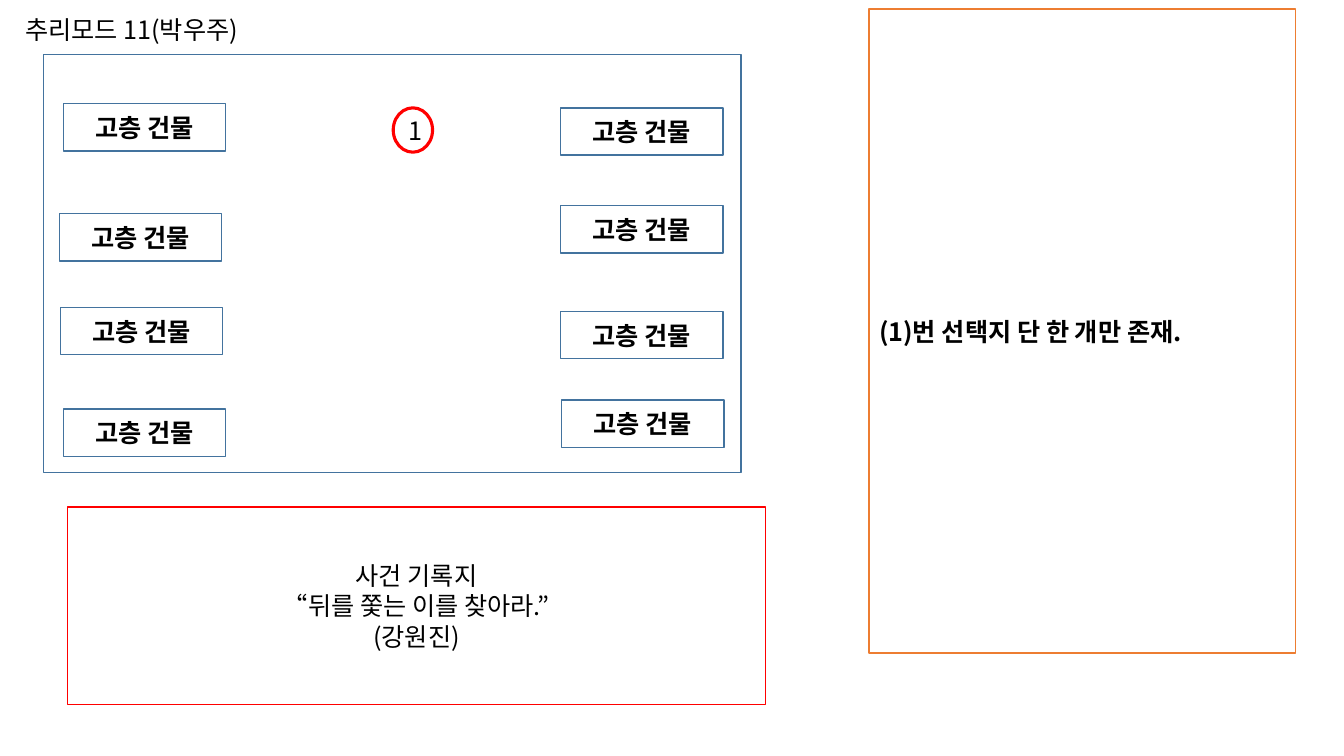
from lxml import etree
from pptx import Presentation
from pptx.dml.color import RGBColor
from pptx.enum.shapes import MSO_SHAPE
from pptx.enum.text import MSO_ANCHOR, MSO_AUTO_SIZE, PP_ALIGN
from pptx.oxml.ns import qn
from pptx.util import Inches, Pt

RECT, OVAL = MSO_SHAPE.RECTANGLE, MSO_SHAPE.OVAL
LEFT, MID = PP_ALIGN.LEFT, PP_ALIGN.CENTER
FONT, SIZE = "Noto Sans CJK KR", 18
COLORS = {"paper": "FFFFFF", "ink": "000000", "blue": "43739E",
          "orange": "ED7D31", "red": "FF0000"}

# Content
TITLE = ["추리모드 11(박우주)"]
CHOICE = ["(1)번 선택지 단 한 개만 존재."]
RECORD = ["사건 기록지", "“뒤를 쫓는 이를 찾아라.”", "(강원진)"]
MARK = ["1"]
TOWER = ["고층 건물"]

# Layout in inches: left, top, width, height
TITLE_BOX = (0.15, 0.09, 3.23, 0.4)
MAP_BOX = (0.43, 0.54, 6.92, 4.15)
CHOICE_BOX = (8.62, 0.09, 4.23, 6.39)
RECORD_BOX = (0.67, 5.03, 6.92, 1.96)
MARK_BOX = (3.9, 1.07, 0.39, 0.44)
TOWER_SIZE = (1.61, 0.47)
# Each side of the street is placed by hand: (left, top) from top to bottom
STREET = [
    [(0.63, 1.03), (0.59, 2.12), (0.6, 3.05), (0.63, 4.06)],
    [(5.56, 1.07), (5.56, 2.04), (5.56, 3.09), (5.57, 3.97)],
]


def color(name):
    return RGBColor.from_string(COLORS[name])


def write(frame, lines, align, bold):
    frame.word_wrap = True
    frame.text = "\n".join(lines)
    for para in frame.paragraphs:
        para.alignment = align
        for run in para.runs:
            font = run.font
            font.name, font.size, font.bold = FONT, Pt(SIZE), bold
            font.color.rgb = color("ink")
            # Hangul takes the East Asian typeface
            east = etree.SubElement(run._r.get_or_add_rPr(), qn("a:ea"))
            east.set("typeface", FONT)


def panel(slide, box, line, lines=(), kind=RECT, width=1, align=MID, bold=False):
    shape = slide.shapes.add_shape(kind, *map(Inches, box))
    shape.shadow.inherit = False
    shape.fill.solid()
    shape.fill.fore_color.rgb = color("paper")
    shape.line.color.rgb = color(line)
    shape.line.width = Pt(width)
    if lines:
        shape.text_frame.vertical_anchor = MSO_ANCHOR.MIDDLE
        write(shape.text_frame, lines, align, bold)


def main():
    deck = Presentation()
    deck.slide_width, deck.slide_height = Inches(13.33), Inches(7.5)
    slide = deck.slides.add_slide(deck.slide_layouts[6])

    # Map frame and text panels
    panel(slide, MAP_BOX, "blue")
    panel(slide, CHOICE_BOX, "orange", CHOICE, align=LEFT, bold=True)
    panel(slide, RECORD_BOX, "red", RECORD)

    # Title
    title = slide.shapes.add_textbox(*map(Inches, TITLE_BOX)).text_frame
    write(title, TITLE, LEFT, False)
    title.auto_size = MSO_AUTO_SIZE.SHAPE_TO_FIT_TEXT

    # Numbered mark and the towers along the street
    panel(slide, MARK_BOX, "red", MARK, kind=OVAL, width=2.25)
    for side in STREET:
        for spot in side:
            panel(slide, spot + TOWER_SIZE, "blue", TOWER, bold=True)

    deck.save("out.pptx")


if __name__ == "__main__":
    main()
